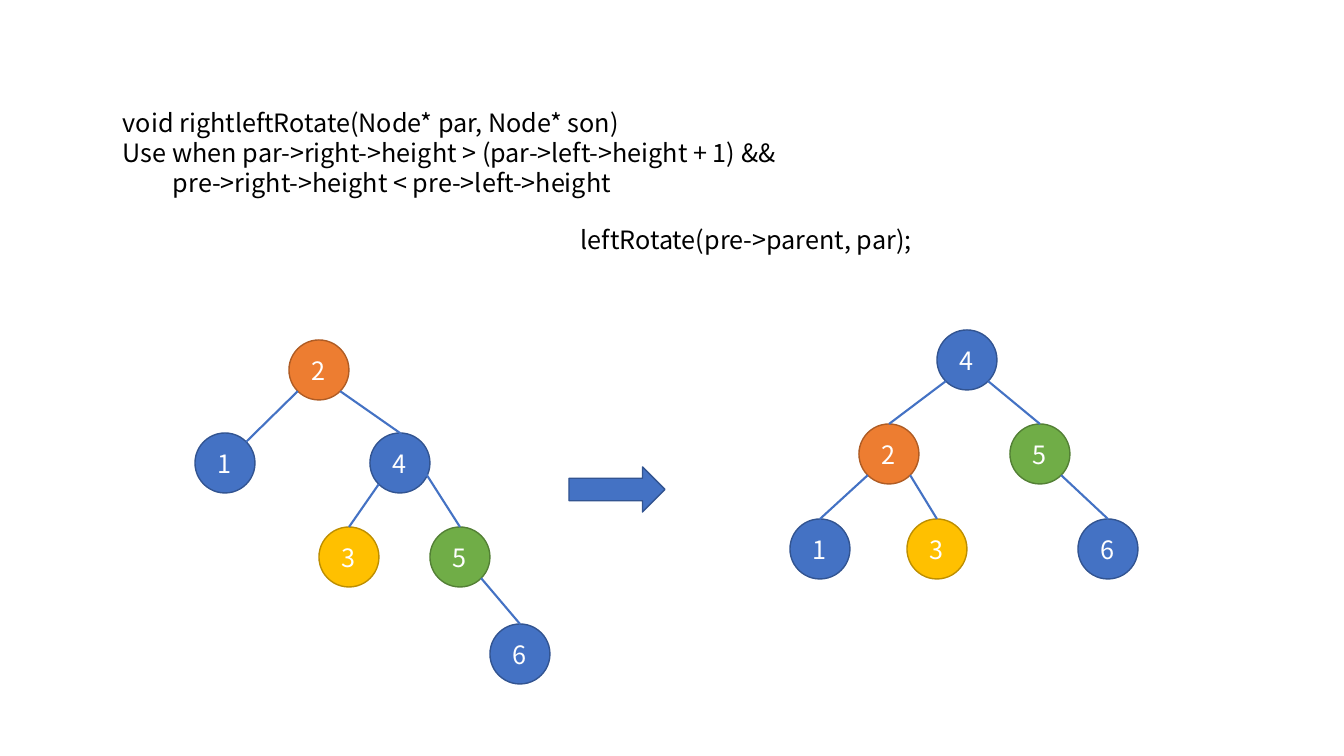
import math
from dataclasses import dataclass
from typing import Any

import pptx
import pptx.dml.color
import pptx.enum.shapes
import pptx.enum.text
import pptx.oxml.ns
import pptx.util
from lxml import etree

RGB = pptx.dml.color.RGBColor
SHAPE = pptx.enum.shapes.MSO_SHAPE
BLUE, BLUE_EDGE = RGB(0x44, 0x72, 0xC4), RGB(0x32, 0x54, 0x91)
ORANGE, ORANGE_EDGE = RGB(0xED, 0x7D, 0x31), RGB(0xAF, 0x5C, 0x24)
GREEN, GREEN_EDGE = RGB(0x70, 0xAD, 0x47), RGB(0x53, 0x80, 0x35)
GOLD, GOLD_EDGE = RGB(0xFF, 0xC0, 0x00), RGB(0xBD, 0x8E, 0x00)
BLACK, WHITE = RGB(0, 0, 0), RGB(0xFF, 0xFF, 0xFF)

FONT = "Noto Sans CJK SC"
SCALE = 914400 / 100.8
DIAMETER = 60
NODE_COLORS = {
    2: (ORANGE, ORANGE_EDGE),
    3: (GOLD, GOLD_EDGE),
    5: (GREEN, GREEN_EDGE),
}
SITE_ANGLES = {"top": -90, "upper right": -45, "lower right": 45, "lower left": 135}


@dataclass(frozen=True)
class Node:
    key: int
    x: int
    y: int

    def site(self, name: str) -> tuple[float, float]:
        angle = math.radians(SITE_ANGLES[name])
        r = DIAMETER / 2
        return self.x + r + r * math.cos(angle), self.y + r + r * math.sin(angle)


@dataclass(frozen=True)
class Edge:
    parent: int
    child: int
    start: str
    end: str = "top"


@dataclass(frozen=True)
class Tree:
    nodes: list[Node]
    edges: list[Edge]


BEFORE = Tree(
    [Node(2, 289, 340), Node(1, 195, 433), Node(4, 370, 433),
     Node(3, 319, 527), Node(5, 430, 527), Node(6, 490, 624)],
    [Edge(2, 1, "lower left", "upper right"), Edge(2, 4, "lower right"),
     Edge(4, 3, "lower left"), Edge(4, 5, "top"), Edge(5, 6, "lower right")],
)
AFTER = Tree(
    [Node(4, 937, 330), Node(2, 859, 424), Node(5, 1010, 424),
     Node(1, 790, 519), Node(3, 907, 519), Node(6, 1078, 519)],
    [Edge(4, 2, "lower left"), Edge(4, 5, "lower right"),
     Edge(2, 1, "lower left"), Edge(2, 3, "lower right"), Edge(5, 6, "lower right")],
)


def px(length: float) -> pptx.util.Emu:
    return pptx.util.Emu(round(length * SCALE))


def write(p: Any, text: str, *, color: RGB = BLACK, indent: int = 0,
          align: Any = None) -> None:
    r = p.add_run()
    r.text = text
    r.font.name = FONT
    r.font.size = pptx.util.Pt(18)
    r.font.color.rgb = color
    p.alignment = align
    if indent:
        p._p.get_or_add_pPr().set("marL", str(px(indent)))


def add_text(shapes: Any, box: tuple[int, int, int, int],
             lines: list[tuple[str, int]]) -> None:
    tf = shapes.add_textbox(*map(px, box)).text_frame
    tf.word_wrap = True
    for i, (text, indent) in enumerate(lines):
        p = tf.add_paragraph() if i else tf.paragraphs[0]
        write(p, text, indent=indent)


def add_filled(shapes: Any, kind: Any, box: tuple[int, int, int, int],
               fill: RGB, edge: RGB) -> Any:
    sp = shapes.add_shape(kind, *map(px, box))
    sp.shadow.inherit = False
    sp.fill.solid()
    sp.fill.fore_color.rgb = fill
    sp.line.color.rgb = edge
    sp.line.width = pptx.util.Pt(1)
    return sp


def add_node(shapes: Any, node: Node) -> None:
    fill, edge = NODE_COLORS.get(node.key, (BLUE, BLUE_EDGE))
    sp = add_filled(shapes, SHAPE.OVAL, (node.x, node.y, DIAMETER, DIAMETER), fill, edge)
    tf = sp.text_frame
    tf.vertical_anchor = pptx.enum.text.MSO_ANCHOR.MIDDLE
    write(tf.paragraphs[0], str(node.key), color=WHITE,
          align=pptx.enum.text.PP_ALIGN.CENTER)


def add_edge(shapes: Any, start: tuple[float, float], end: tuple[float, float]) -> None:
    line = shapes.add_connector(pptx.enum.shapes.MSO_CONNECTOR.STRAIGHT,
                                *map(px, start + end))
    line.line.color.rgb = BLUE
    line.line.width = pptx.util.Pt(1.5)
    etree.SubElement(line._element.spPr, pptx.oxml.ns.qn("a:effectLst"))


def add_tree(shapes: Any, tree: Tree) -> None:
    group = shapes.add_group_shape().shapes
    nodes = {node.key: node for node in tree.nodes}
    for node in tree.nodes:
        add_node(group, node)
    for edge in tree.edges:
        add_edge(group, nodes[edge.parent].site(edge.start),
                 nodes[edge.child].site(edge.end))


prs = pptx.Presentation()
prs.slide_width, prs.slide_height = px(1344), px(756)
s = prs.slides.add_slide(prs.slide_layouts[6])

add_text(s.shapes, (571, 219, 526, 40), [("leftRotate(pre->parent, par);", 0)])
add_filled(s.shapes, SHAPE.RIGHT_ARROW, (569, 467, 96, 45), BLUE, BLUE_EDGE)
add_tree(s.shapes, AFTER)
add_tree(s.shapes, BEFORE)
add_text(s.shapes, (113, 102, 737, 102), [
    ("void rightleftRotate(Node* par, Node* son)", 0),
    ("Use when par->right->height > (par->left->height + 1) &&", 0),
    ("pre->right->height < pre->left->height", 50),
])
prs.save("out.pptx")
